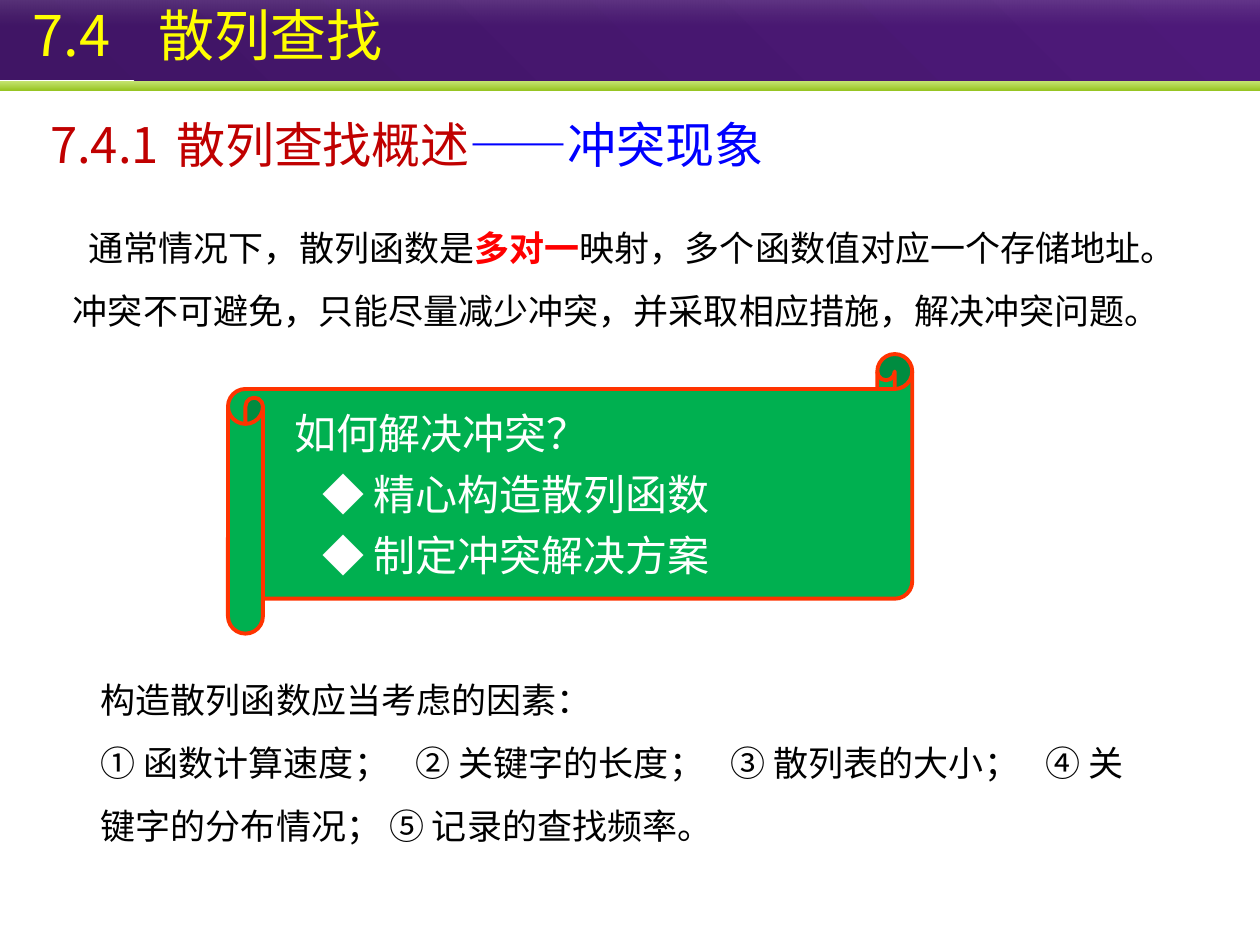
import pptx
import pptx.util
import pptx.dml.color
import pptx.enum.shapes
import pptx.enum.text
import pptx.oxml
import pptx.oxml.ns
from dataclasses import dataclass

Pt = pptx.util.Pt
RGB = pptx.dml.color.RGBColor.from_string
Shape = pptx.enum.shapes.MSO_SHAPE
Anchor = pptx.enum.text.MSO_ANCHOR
qn = pptx.oxml.ns.qn


@dataclass(frozen=True)
class Theme:
    font: str = "Noto Sans CJK SC"
    title: int = 32
    head: int = 28
    scroll: int = 24
    body: int = 20
    yellow: str = "FFFF00"
    maroon: str = "C00000"
    blue: str = "0000FF"
    red: str = "FF0000"
    black: str = "000000"
    white: str = "FFFFFF"
    green: str = "00B050"
    edge: str = "FF3300"
    purple: tuple = ("401565", "4D1979")
    lime: tuple = ("C9E576", "97C523")
    gloss: tuple = ("FFFFFF", "B6B6B6")


THEME = Theme()


def child(node, tag, **attrs):
    item = pptx.oxml.parse_xml(f"<{tag} {pptx.oxml.ns.nsdecls('a')}/>")
    for key, value in attrs.items():
        item.set(key, str(value))
    node.append(item)
    return item


def write(par, text, size, color, bold=False):
    run = par.add_run()
    run.text = text
    run.font.size = Pt(size)
    run.font.bold = bold
    run.font.color.rgb = RGB(color)
    run.font.name = THEME.font
    child(run._r.get_or_add_rPr(), "a:ea", typeface=THEME.font)


def format_line(par, left=0, indent=0, tabs=(), space=1, before=0):
    props = par._p.get_or_add_pPr()
    props.set("marL", str(Pt(left)))
    props.set("indent", str(Pt(indent)))
    child(props, "a:buNone")
    if tabs:
        stops = child(props, "a:tabLst")
        for stop in tabs:
            child(stops, "a:tab", pos=Pt(stop), algn="l")
    par.alignment = pptx.enum.text.PP_ALIGN.LEFT
    par.line_spacing = space
    par.space_before = Pt(before)


def fill_text(shape, lines, anchor=Anchor.TOP):
    frame = shape.text_frame
    frame.word_wrap = True
    frame.auto_size = pptx.enum.text.MSO_AUTO_SIZE.NONE
    frame.vertical_anchor = anchor
    for i, (runs, form) in enumerate(lines):
        par = frame.add_paragraph() if i else frame.paragraphs[0]
        format_line(par, **form)
        for text, size, color, *bold in runs:
            write(par, text, size, color, bold=bool(bold))


def place(shape, left, top, width, height):
    shape.left, shape.top = Pt(left), Pt(top)
    shape.width, shape.height = Pt(width), Pt(height)


def add_band(slide, top, height, colors, angle, alphas=()):
    band = slide.shapes.add_shape(Shape.RECTANGLE, 0, Pt(top), Pt(720), Pt(height))
    band.shadow.inherit = False
    band.line.fill.background()
    band.fill.gradient()
    band.fill.gradient_angle = angle
    for stop, color in zip(band.fill.gradient_stops, colors):
        stop.color.rgb = RGB(color)
    tints = band._element.spPr.iter(qn("a:srgbClr"))
    for tint, alpha in zip(tints, alphas):
        child(tint, "a:alpha", val=alpha * 1000)


def add_header(slide):
    add_band(slide, 0, 46, THEME.purple, 45)
    add_band(slide, 46, 5.8, THEME.lime, 270)
    add_band(slide, 0, 14.4, THEME.gloss, 270, alphas=(13, 0))
    title = slide.shapes.title
    place(title, 4.3, -5.8, 712.8, 51)
    title.text_frame.margin_left = Pt(14.4)
    fill_text(title, [([("7.4\t散列查找", THEME.title, THEME.yellow)],
                       dict(tabs=[66]))], Anchor.MIDDLE)
    slide.shapes._spTree.append(title._element)


def add_text(slide, box, lines, anchor=Anchor.TOP):
    fill_text(slide.shapes.add_textbox(*map(Pt, box)), lines, anchor)


def add_scroll(slide):
    scroll = slide.shapes.add_shape(
        Shape.HORIZONTAL_SCROLL, Pt(130.3), Pt(202.3), Pt(391), Pt(159.8))
    scroll.shadow.inherit = False
    scroll.fill.solid()
    scroll.fill.fore_color.rgb = RGB(THEME.green)
    scroll.line.color.rgb = RGB(THEME.edge)
    scroll.line.width = Pt(2.25)
    lines = [("如何解决冲突？", 10.8, 0),
             ("◆ 精心构造散列函数", 26.9, 6),
             ("◆ 制定冲突解决方案", 26.9, 6)]
    fill_text(scroll, [([(text, THEME.scroll, THEME.white)],
                        dict(left=left, before=before))
                       for text, left, before in lines], Anchor.MIDDLE)


def main():
    deck = pptx.Presentation()
    deck.slide_width, deck.slide_height = Pt(720), Pt(540)
    slide = deck.slides.add_slide(deck.slide_layouts[1])
    size, black = THEME.body, THEME.black
    add_header(slide)
    add_text(slide, (21.6, 61.9, 483.8, 41), [
        ([("7.4.1\t散列查找概述", THEME.head, THEME.maroon),
          ("——冲突现象", THEME.head, THEME.blue)], dict(tabs=[80.5]))])
    add_text(slide, (34.6, 111.6, 661.7, 83.5), [
        ([("通常情况下，散列函数是", size, black),
          ("多对一", size, THEME.red, True),
          ("映射，多个函数值对应一个存储地址。", size, black)],
         dict(indent=9, space=1.5)),
        ([("冲突不可避免，只能尽量减少冲突，并采取相应措施，解决冲突问题。",
           size, black)], dict(space=1.5))], Anchor.MIDDLE)
    add_scroll(slide)
    body = slide.placeholders[1]
    place(body, 50.4, 372.2, 617, 124.6)
    fill_text(body, [
        ([("构造散列函数应当考虑的因素：", size, black)], dict(space=1.5)),
        ([("① 函数计算速度；\t② 关键字的长度；\t③ 散列表的大小；\t"
           "④ 关键字的分布情况； ⑤ 记录的查找频率。", size, black)],
         dict(space=1.5, tabs=[191, 369.5, 552]))])
    deck.save("out.pptx")


if __name__ == "__main__":
    main()
